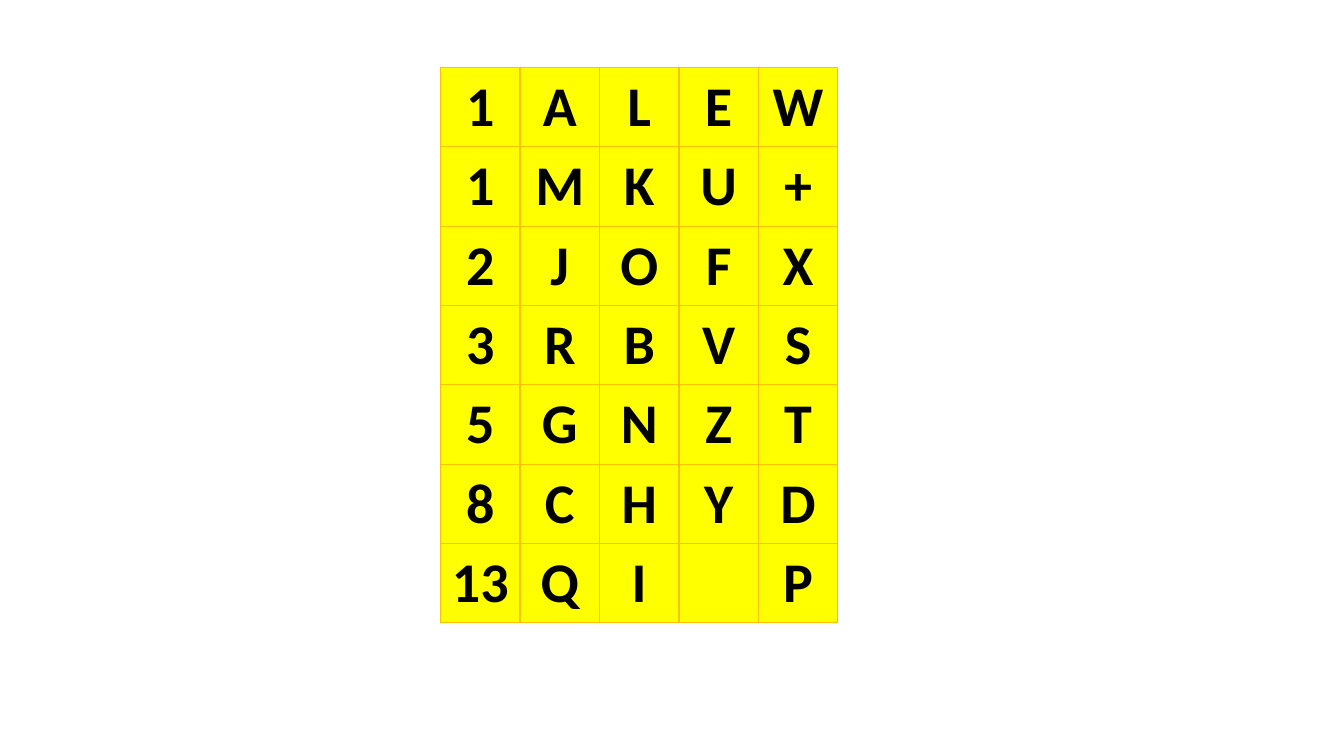
from lxml.etree import SubElement
from pptx import Presentation
from pptx.dml.color import RGBColor
from pptx.enum.text import MSO_ANCHOR, PP_ALIGN
from pptx.oxml.ns import qn
from pptx.util import Inches, Pt

LETTER_ROWS = [
    ("1", "A", "L", "E", "W"),
    ("1", "M", "K", "U", "+"),
    ("2", "J", "O", "F", "X"),
    ("3", "R", "B", "V", "S"),
    ("5", "G", "N", "Z", "T"),
    ("8", "C", "H", "Y", "D"),
    ("13", "Q", "I", "", "P"),
]
YELLOW, ORANGE, BLACK = "FFFF00", "FFC000", "000000"


def paint(color_format, hex_color):
    color_format.rgb = RGBColor.from_string(hex_color)


def add_borders(cell, hex_color, width):
    """Draw all four sides; call before filling, as the schema puts lines first."""
    properties = cell._tc.get_or_add_tcPr()
    for side in ("lnL", "lnR", "lnT", "lnB"):
        border = SubElement(properties, qn(f"a:{side}"), w=str(Pt(width)))
        line_fill = SubElement(border, qn("a:solidFill"))
        SubElement(line_fill, qn("a:srgbClr"), val=hex_color)


def format_cell(cell, letter):
    add_borders(cell, ORANGE, 1)
    cell.fill.solid()
    paint(cell.fill.fore_color, YELLOW)
    cell.vertical_anchor = MSO_ANCHOR.MIDDLE
    cell.margin_left = cell.margin_right = Inches(0.05)
    cell.text_frame.text = letter
    paragraph = cell.text_frame.paragraphs[0]
    paragraph.alignment = PP_ALIGN.CENTER
    for run in paragraph.runs:
        run.font.name = "Calibri"
        run.font.size = Pt(40)
        run.font.bold = True
        paint(run.font.color, BLACK)


def add_letter_grid(slide, left, top, width, height):
    grid = slide.shapes.add_table(
        len(LETTER_ROWS), len(LETTER_ROWS[0]),
        Inches(left), Inches(top), Inches(width), Inches(height),
    ).table
    grid.first_row = grid.horz_banding = False
    for row, letters in enumerate(LETTER_ROWS):
        for column, letter in enumerate(letters):
            format_cell(grid.cell(row, column), letter)


def main():
    presentation = Presentation()
    presentation.slide_width = Inches(13.33)
    presentation.slide_height = Inches(7.5)
    blank_layout = presentation.slide_layouts[6]
    slide = presentation.slides.add_slide(blank_layout)
    add_letter_grid(slide, left=4.37, top=0.67, width=3.94, height=5.51)
    presentation.save("out.pptx")


if __name__ == "__main__":
    main()
